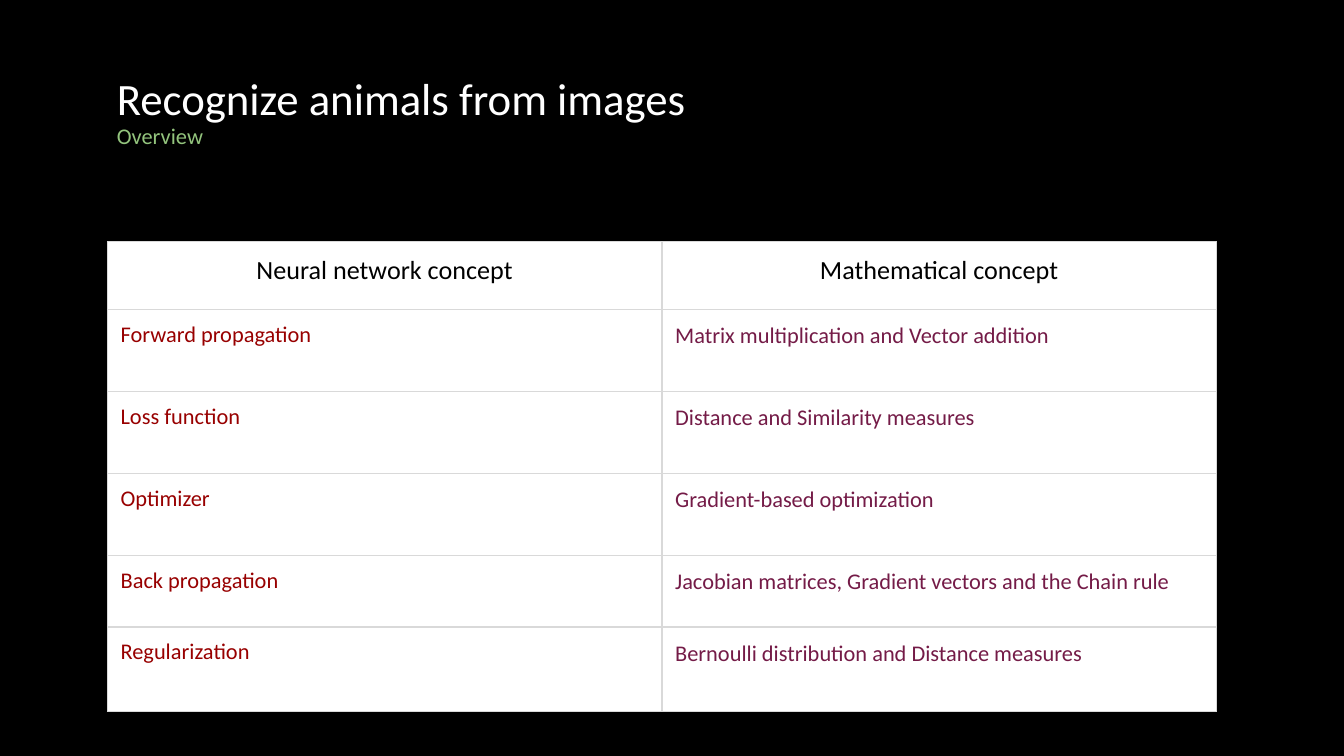
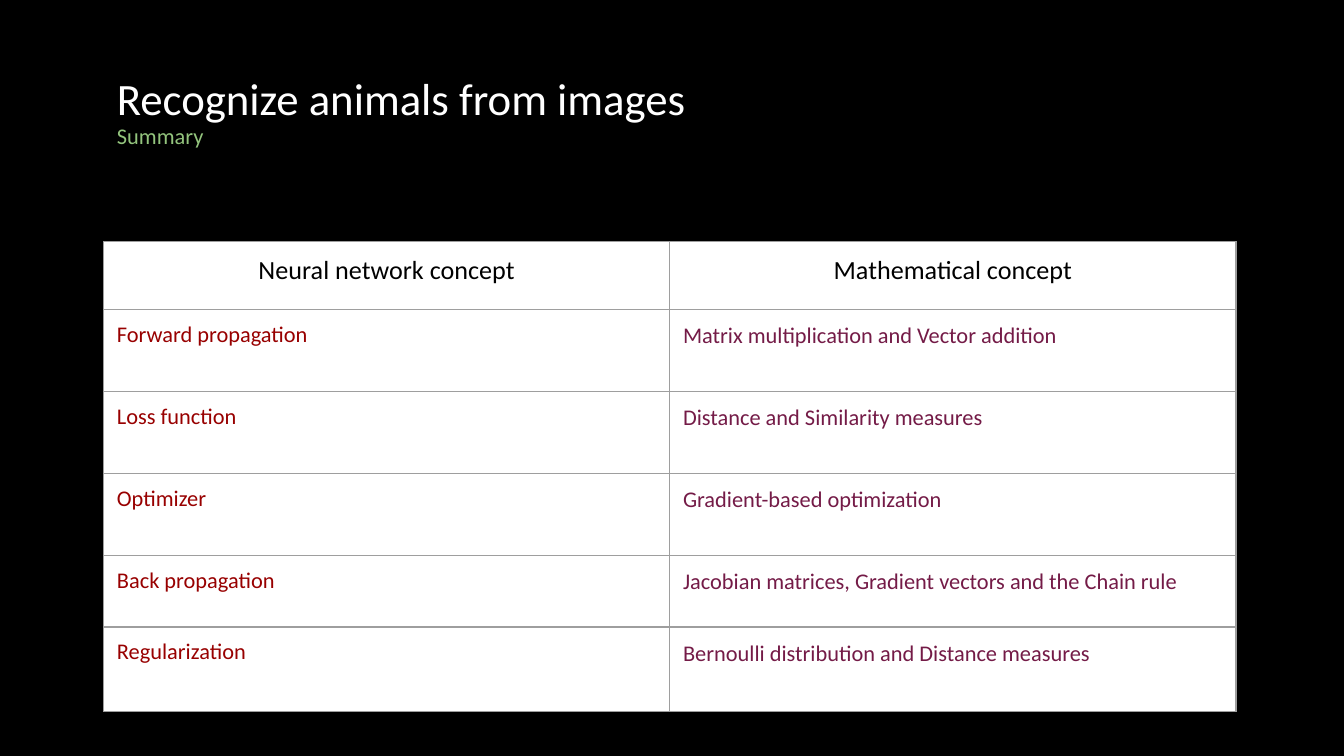
from dataclasses import dataclass

from lxml.etree import SubElement
from pptx import Presentation
from pptx.dml.color import RGBColor as RGB
from pptx.enum.text import MSO_ANCHOR as Anchor, MSO_AUTO_SIZE as AutoSize, PP_ALIGN as Align
from pptx.oxml.ns import qn
from pptx.util import Cm, Pt


@dataclass(frozen=True)
class Theme:
    font: str = "Calibri"
    background: str = "000000"
    title: str = "FFFFFF"
    subtitle: str = "93C47D"
    cell: str = "FFFFFF"
    header: str = "000000"
    network: str = "980000"
    maths: str = "741B47"
    title_size: int = 24
    header_size: int = 14
    body_size: int = 12
    border_width: float = 0.75
    inset: float = 0.25
    tight: float = 0.9


THEME = Theme()
TITLE = "Recognize animals from images"
TITLE_BOX = (1.96, 0.76, 21.89, 2.77)
ROW_HEIGHTS = (1.28, 1.55, 1.55, 1.55, 1.35, 1.6)
CONCEPTS = (
    ("Neural network concept", "Mathematical concept"),
    ("Forward propagation", "Matrix multiplication and Vector addition"),
    ("Loss function", "Distance and Similarity measures"),
    ("Optimizer", "Gradient-based optimization"),
    ("Back propagation", "Jacobian matrices, Gradient vectors and the Chain rule"),
    ("Regularization", "Bernoulli distribution and Distance measures"),
)
SLIDES = (
    ("Overview", (2.03, 4.57, 20.96), "D9D9D9"),
    ("Summary", (1.96, 4.57, 21.4), "9E9E9E"),
)


def style_paragraph(p, size, color, align=Align.LEFT, spacing=1.0):
    p.alignment = align
    p.line_spacing = spacing
    for r in p.runs:
        r.font.name = THEME.font
        r.font.size = Pt(size)
        r.font.bold = False
        r.font.color.rgb = RGB.from_string(color)


def set_insets(target):
    target.margin_left = target.margin_right = Cm(THEME.inset)
    target.margin_top = target.margin_bottom = Cm(THEME.inset)


def add_title(s, subtitle, box):
    sp = s.shapes.title
    sp.left, sp.top, sp.width, sp.height = map(Cm, box)
    tf = sp.text_frame
    tf.text = f"{TITLE}\n{subtitle}"
    tf.word_wrap = True
    tf.auto_size = AutoSize.NONE
    tf.vertical_anchor = Anchor.MIDDLE
    set_insets(tf)
    heading, label = tf.paragraphs
    style_paragraph(heading, THEME.title_size, THEME.title, spacing=THEME.tight)
    style_paragraph(label, THEME.body_size, THEME.subtitle, spacing=THEME.tight)


def set_borders(cell, color):
    tc_pr = cell._tc.get_or_add_tcPr()
    for side in ("lnL", "lnR", "lnT", "lnB"):
        ln = SubElement(tc_pr, qn(f"a:{side}"), w=str(Pt(THEME.border_width)))
        fill = SubElement(ln, qn("a:solidFill"))
        SubElement(fill, qn("a:srgbClr"), val=color)


def style_cell(cell, row, col):
    set_insets(cell)
    cell.vertical_anchor = Anchor.TOP
    cell.fill.solid()
    cell.fill.fore_color.rgb = RGB.from_string(THEME.cell)
    p = cell.text_frame.paragraphs[0]
    if row == 0:
        style_paragraph(p, THEME.header_size, THEME.header, Align.CENTER)
    elif col == 0:
        style_paragraph(p, THEME.body_size, THEME.network, spacing=THEME.tight)
    else:
        style_paragraph(p, THEME.body_size, THEME.maths)


def add_concept_table(s, box, border):
    left, top, width = box
    cols = len(CONCEPTS[0])
    frame = s.shapes.add_table(
        len(CONCEPTS), cols, Cm(left), Cm(top), Cm(width), Cm(sum(ROW_HEIGHTS)))
    table = frame.table
    table.first_row = table.horz_banding = False
    for column in table.columns:
        column.width = Cm(width / cols)
    for row, (height, texts) in enumerate(zip(ROW_HEIGHTS, CONCEPTS)):
        table.rows[row].height = Cm(height)
        for col, text in enumerate(texts):
            cell = table.cell(row, col)
            cell.text_frame.text = text
            set_borders(cell, border)
            style_cell(cell, row, col)


def add_concept_slide(prs, subtitle, table_box, border):
    s = prs.slides.add_slide(prs.slide_layouts[5])
    s.background.fill.solid()
    s.background.fill.fore_color.rgb = RGB.from_string(THEME.background)
    add_title(s, subtitle, TITLE_BOX)
    add_concept_table(s, table_box, border)


def main():
    prs = Presentation()
    prs.slide_width, prs.slide_height = Cm(25.4), Cm(14.29)
    for subtitle, table_box, border in SLIDES:
        add_concept_slide(prs, subtitle, table_box, border)
    prs.save("out.pptx")


if __name__ == "__main__":
    main()
